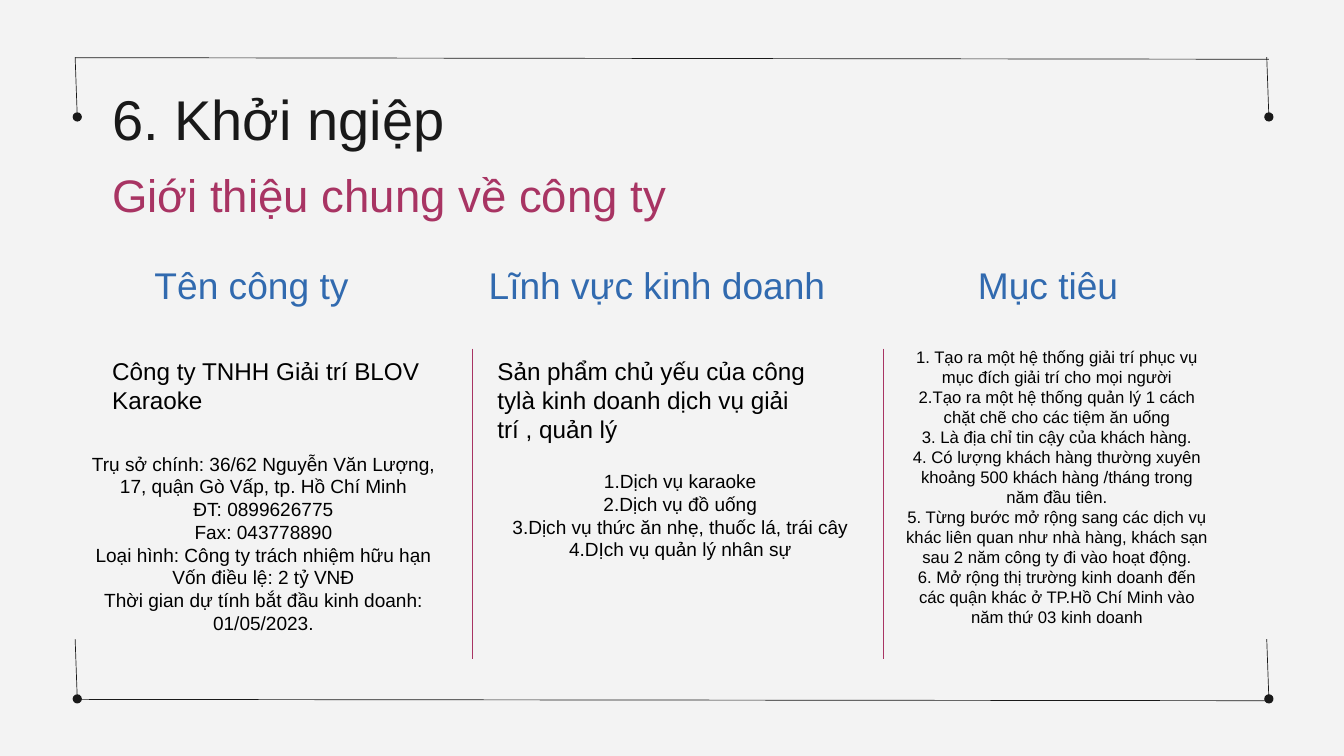
"""Build the company introduction slide of a start-up presentation."""
import math

import lxml.etree
import pptx
import pptx.dml.color
import pptx.enum.shapes
import pptx.enum.text
import pptx.oxml.ns
import pptx.util

Cm = pptx.util.Cm
COLORS = {
    "background": "F3F3F3",
    "ink": "191919",
    "accent": "A83463",
    "heading": "316AAF",
    "body": "000000",
}
HEADINGS = [
    ("Tên công ty", 5.84, 12.04),
    ("Lĩnh vực kinh doanh", 18.47, 13.84),
    ("Mục tiêu", 36.96, 13.84),
]
LEADS = [
    ("Công ty TNHH Giải trí BLOV Karaoke", 4.24, 2.24),
    ("Sản phẩm chủ yếu của công tylà kinh doanh dịch vụ giải trí , quản lý", 18.8, 3.3),
]
COMPANY = [
    "Trụ sở chính: 36/62 Nguyễn Văn Lượng, 17, quận Gò Vấp, tp. Hồ Chí Minh",
    "ĐT: 0899626775",
    "Fax: 043778890",
    "Loại hình: Công ty trách nhiệm hữu hạn",
    "Vốn điều lệ: 2 tỷ VNĐ",
    "Thời gian dự tính bắt đầu kinh doanh: 01/05/2023.",
]
SERVICES = [
    "1.Dịch vụ karaoke",
    "2.Dịch vụ đồ uống",
    "3.Dịch vụ thức ăn nhẹ, thuốc lá, trái cây",
    "4.DỊch vụ quản lý nhân sự",
]
GOALS = [
    "1. Tạo ra một hệ thống giải trí phục vụ mục đích giải trí cho mọi người",
    "2.Tạo ra một hệ thống quản lý 1 cách chặt chẽ cho các tiệm ăn uống",
    "3. Là địa chỉ tin cậy của khách hàng.",
    "4. Có lượng khách hàng thường xuyên khoảng 500 khách hàng /tháng trong năm đầu tiên.",
    "5. Từng bước mở rộng sang các dịch vụ khác liên quan như nhà hàng, khách sạn "
    "sau 2 năm công ty đi vào hoạt động.",
    "6. Mở rộng thị trường kinh doanh đến các quận khác ở TP.Hồ Chí Minh vào "
    "năm thứ 03 kinh doanh",
]


def rgb(name):
    return pptx.dml.color.RGBColor.from_string(COLORS[name])


def write_text(shape, lines, size=20.4, color="body", centered=False):
    frame = shape.text_frame
    frame.word_wrap = True
    frame.auto_size = pptx.enum.text.MSO_AUTO_SIZE.NONE
    frame.vertical_anchor = pptx.enum.text.MSO_ANCHOR.TOP
    frame.margin_left = frame.margin_right = frame.margin_top = frame.margin_bottom = 0
    frame.text = "\n".join(lines)
    alignment = pptx.enum.text.PP_ALIGN
    for paragraph in frame.paragraphs:
        paragraph.alignment = alignment.CENTER if centered else alignment.LEFT
        paragraph.line_spacing = pptx.util.Pt(math.floor(size * 12) / 10)
        paragraph.space_before = pptx.util.Pt(0)
        paragraph.font.name = "Arial"
        paragraph.font.size = pptx.util.Pt(size)
        paragraph.font.color.rgb = rgb(color)


class SlideBuilder:
    """Hold the style and the current slide."""

    def __init__(self, presentation):
        self.slide = presentation.slides.add_slide(presentation.slide_layouts[5])
        fill = self.slide.background.fill
        fill.solid()
        fill.fore_color.rgb = rgb("background")

    def title(self, text, left, top, width, height, **style):
        shape = self.slide.shapes.title
        shape.left, shape.top = Cm(left), Cm(top)
        shape.width, shape.height = Cm(width), Cm(height)
        write_text(shape, [text], **style)

    def text(self, lines, left, top, width, height, **style):
        shape = self.slide.shapes.add_textbox(Cm(left), Cm(top), Cm(width), Cm(height))
        write_text(shape, lines, **style)

    def line(self, x1, y1, x2, y2, color="ink", weight=0.75, dot=False):
        connector = self.slide.shapes.add_connector(
            pptx.enum.shapes.MSO_CONNECTOR.STRAIGHT, Cm(x1), Cm(y1), Cm(x2), Cm(y2))
        connector.line.color.rgb = rgb(color)
        connector.line.width = pptx.util.Pt(weight)
        qn = pptx.oxml.ns.qn
        properties = connector._element.spPr
        if dot:
            lxml.etree.SubElement(properties.find(qn("a:ln")), qn("a:tailEnd"),
                                  type="oval", w="lg", len="lg")
        lxml.etree.SubElement(properties, qn("a:effectLst"))


def main():
    presentation = pptx.Presentation()
    presentation.slide_width, presentation.slide_height = Cm(50.8), Cm(28.58)
    builder = SlideBuilder(presentation)

    builder.line(2.84, 2.18, 47.96, 2.24)
    builder.line(2.92, 26.44, 48.01, 26.49)
    for top in (2.16, 24.16):
        for left in (2.84, 47.88):
            builder.line(left, top, left + 0.08, top + 2.26, dot=True)
    for x in (17.86, 33.4):
        builder.line(x, 13.18, x, 24.92, color="accent", weight=1.5)

    builder.title("6. Khởi ngiệp", 4.24, 3.18, 14.45, 2.62, size=60, color="ink")
    builder.text(["Giới thiệu chung về công ty"], 4.24, 6.32, 35.56, 2.11,
                 size=48.8, color="accent")
    for heading, left, width in HEADINGS:
        builder.text([heading], left, 9.91, width, 1.75, size=39.8, color="heading")
    for lead, left, height in LEADS:
        builder.text([lead], left, 13.46, 12.04, height, size=26)

    builder.text(COMPANY, 2.92, 17.09, 14.07, 6.78, centered=True)
    builder.text(SERVICES, 18.8, 17.75, 13.82, 3.4, centered=True)
    builder.text(GOALS, 34.16, 13.13, 11.58, 11.15, size=17.9, centered=True)
    presentation.save("out.pptx")


if __name__ == "__main__":
    main()
